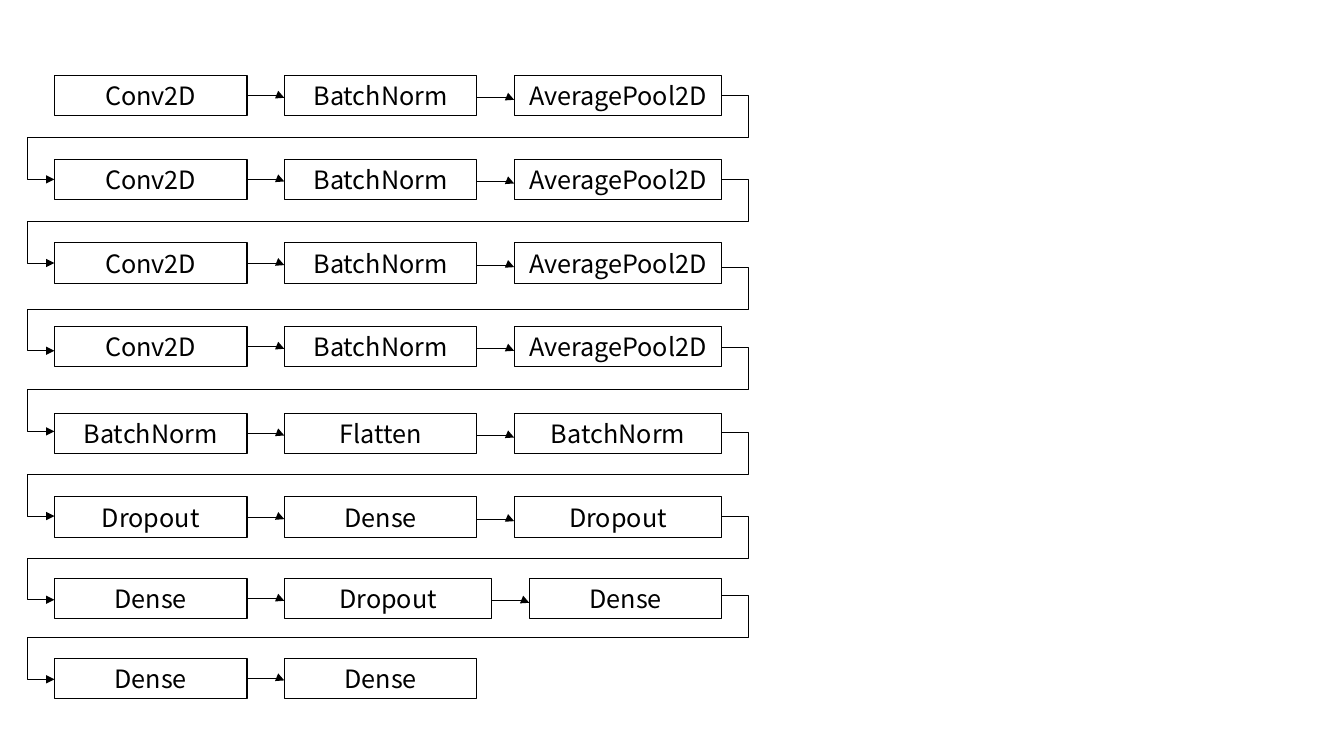
from dataclasses import dataclass

from lxml.etree import SubElement
from pptx import Presentation
from pptx.dml.color import RGBColor
from pptx.enum.shapes import MSO_CONNECTOR as Link, MSO_SHAPE as Shape
from pptx.enum.text import MSO_ANCHOR as Anchor, PP_ALIGN as Align
from pptx.oxml.ns import qn
from pptx.util import Inches, Pt


@dataclass(frozen=True)
class Theme:
    """Colours, type and line widths of the diagram."""
    ink: RGBColor = RGBColor(0, 0, 0)
    font: str = "Noto Sans CJK KR"
    size: float = 18
    border: float = 0.75
    arrow: float = 0.5


THEME = Theme()
LEFT, GAP, HEIGHT = 0.54, 0.37, 0.4
NARROW, WIDE = 1.91, 2.06
ARROW_STEP = 0.02
WRAP_DROP = 0.83

USUAL = (NARROW, NARROW, WIDE)
CONV_BLOCK = ("Conv2D", "BatchNorm", "AveragePool2D")
ROWS = [
    (0.75, 0.95, USUAL, CONV_BLOCK),
    (1.58, 1.78, USUAL, CONV_BLOCK),
    (2.41, 2.65, USUAL, CONV_BLOCK),
    (3.24, 3.45, USUAL, CONV_BLOCK),
    (4.1, 4.29, USUAL, ("BatchNorm", "Flatten", "BatchNorm")),
    (4.93, 5.12, USUAL, ("Dropout", "Dense", "Dropout")),
    (5.74, 5.91, (NARROW, WIDE, NARROW), ("Dense", "Dropout", "Dense")),
    (6.53, None, (NARROW, NARROW), ("Dense", "Dense")),
]


def write_text(box, text, size=THEME.size, color=THEME.ink, align=Align.CENTER):
    """Put one formatted line of text in the middle of a box."""
    frame = box.text_frame
    frame.word_wrap = True
    frame.vertical_anchor = Anchor.MIDDLE
    para = frame.paragraphs[0]
    para.alignment = align
    span = para.add_run()
    span.text = text
    span.font.name = THEME.font
    span.font.size = Pt(size)
    span.font.color.rgb = color


def add_layer(page, name, left, top, width):
    """Draw one network layer as an outlined box."""
    box = page.shapes.add_shape(
        Shape.RECTANGLE, Inches(left), Inches(top), Inches(width), Inches(HEIGHT))
    box.shadow.inherit = False
    box.fill.background()
    box.line.color.rgb = THEME.ink
    box.line.width = Pt(THEME.border)
    write_text(box, name)


def add_arrow(page, start, end, preset, bends):
    """Draw an elbow arrow with its bends given as shares of its extent."""
    ends = [Inches(value) for value in (*start, *end)]
    arrow = page.shapes.add_connector(Link.ELBOW, *ends)
    arrow.line.color.rgb = THEME.ink
    arrow.line.width = Pt(THEME.arrow)
    SubElement(arrow.line._get_or_add_ln(), qn("a:tailEnd"), type="triangle")
    properties = arrow._element.spPr
    SubElement(properties, qn("a:effectLst"))
    geometry = properties.find(qn("a:prstGeom"))
    geometry.set("prst", preset)
    guides = geometry.find(qn("a:avLst"))
    for number, bend in enumerate(bends, 1):
        SubElement(guides, qn("a:gd"), name=f"adj{number}",
                   fmla=f"val {round(bend * 100000)}")


def add_row(page, top, exit_y, widths, names):
    """Draw a row of linked layers and the arrow that wraps to the next row."""
    left = LEFT
    for column, (name, width) in enumerate(zip(names, widths)):
        add_layer(page, name, left, top, width)
        if column:
            y = top + HEIGHT / 2 + (column - 1) * ARROW_STEP
            add_arrow(page, (left - GAP, y), (left, y + ARROW_STEP),
                      "bentConnector3", [1.02])
        left += width + GAP
    if exit_y is not None:
        add_arrow(page, (left - GAP, exit_y), (LEFT, exit_y + WRAP_DROP),
                  "bentConnector5", [-0.04, 0.5, 1.04])


def main():
    """Build the slide with the layer sequence and save it."""
    deck = Presentation()
    deck.slide_width, deck.slide_height = Inches(13.33), Inches(7.5)
    page = deck.slides.add_slide(deck.slide_layouts[6])
    for row in ROWS:
        add_row(page, *row)
    deck.save("out.pptx")


if __name__ == "__main__":
    main()
